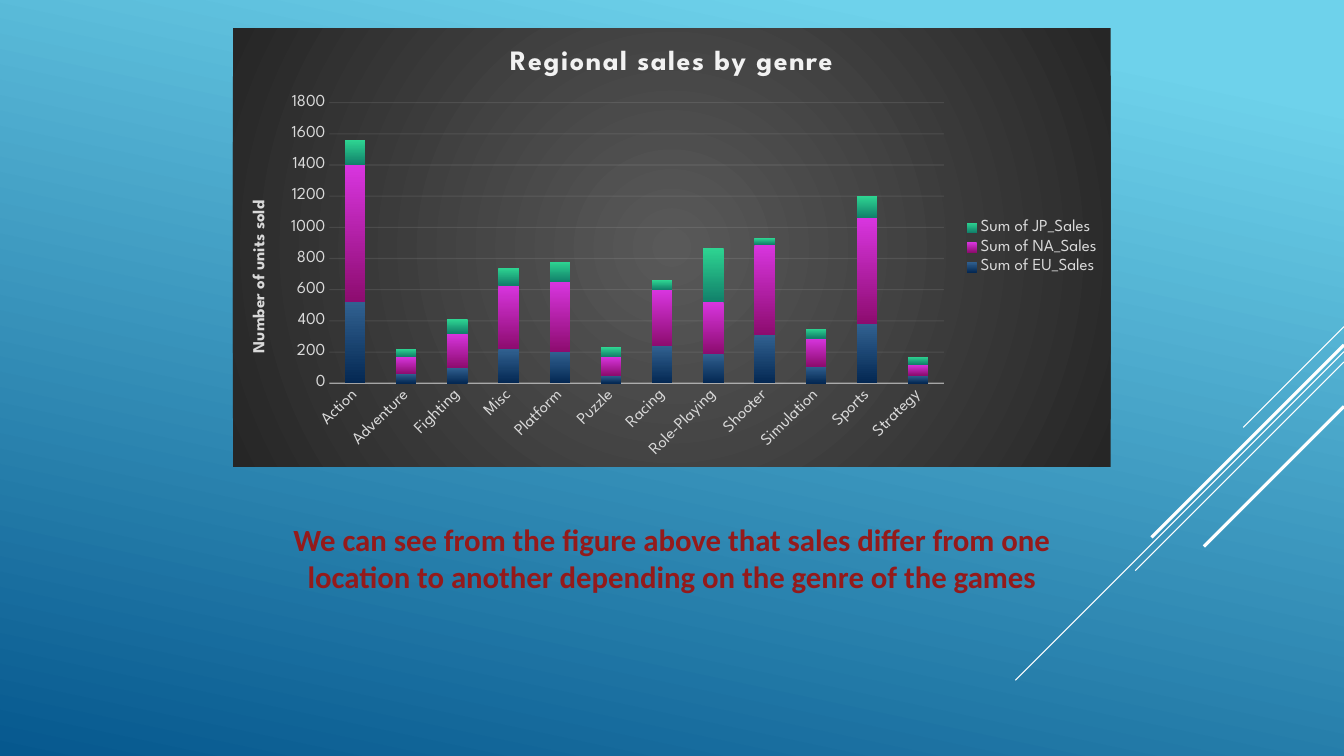
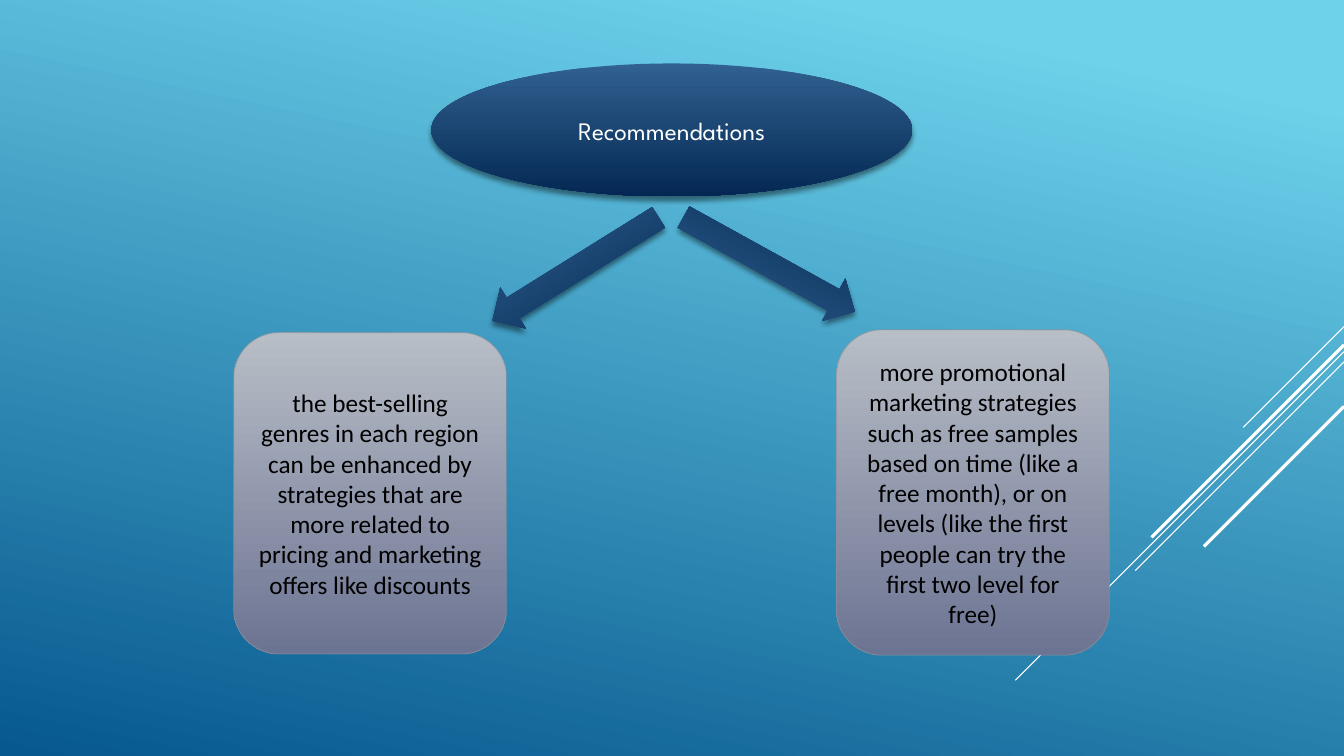
from dataclasses import dataclass

from lxml import etree
from pptx import Presentation
from pptx.chart.data import CategoryChartData
from pptx.dml.color import RGBColor
from pptx.enum.chart import XL_CHART_TYPE, XL_LEGEND_POSITION, XL_TICK_MARK
from pptx.enum.shapes import MSO_CONNECTOR, MSO_SHAPE
from pptx.enum.text import MSO_ANCHOR, MSO_AUTO_SIZE, PP_ALIGN
from pptx.oxml import parse_xml
from pptx.oxml.ns import nsdecls, qn
from pptx.util import Cm, Pt

STACKED = XL_CHART_TYPE.COLUMN_STACKED
LEGEND_RIGHT = XL_LEGEND_POSITION.RIGHT
NO_TICK = XL_TICK_MARK.NONE
STRAIGHT = MSO_CONNECTOR.STRAIGHT
ELLIPSE = MSO_SHAPE.OVAL
ARROW = MSO_SHAPE.LEFT_ARROW
ROUNDED = MSO_SHAPE.ROUNDED_RECTANGLE
MIDDLE = MSO_ANCHOR.MIDDLE
CENTER = PP_ALIGN.CENTER
FIT_SHAPE = MSO_AUTO_SIZE.SHAPE_TO_FIT_TEXT
BLANK_LAYOUT = 6


@dataclass(frozen=True)
class Theme:
    width: float = 33.87
    height: float = 19.05
    heading_face: str = "League Spartan"
    body_face: str = "Calibri"
    chart_size: int = 10
    label_size: int = 12
    body_size: int = 18
    chart_title_size: int = 20
    statement_size: int = 22
    white: str = "FFFFFF"
    black: str = "000000"
    red: str = "941A1B"
    pale: str = "F2F2F2"
    label: str = "D9D9D9"
    card_edge: str = "89919C"
    sky: tuple = ("6ED2EB", "06588E")
    navy: tuple = ("316190", "042853")
    magenta: tuple = ("D835DF", "8D0C6F")
    green: tuple = ("2ED592", "11806A")
    steel: tuple = ("B8BEC6", "6C7493")
    charcoal: tuple = ("595959", "262626")


THEME = Theme()

# Diagonals run down-left from the right edge: top, reach, weight
DIAGONALS = [
    (8.23, 2.54, 0.75),
    (8.86, 8.28, 0.75),
    (9.12, 5.26, 0.75),
    (8.69, 4.85, 2.25),
    (10.24, 3.53, 2.25),
]

GENRES = ["Action", "Adventure", "Fighting", "Misc", "Platform", "Puzzle",
          "Racing", "Role-Playing", "Shooter", "Simulation", "Sports", "Strategy"]
REGIONS = [
    ("Sum of EU_Sales", THEME.navy,
     [520, 60, 100, 220, 200, 50, 240, 190, 310, 110, 380, 50]),
    ("Sum of NA_Sales", THEME.magenta,
     [880, 110, 220, 410, 450, 120, 360, 330, 580, 180, 680, 70]),
    ("Sum of JP_Sales", THEME.green,
     [160, 50, 90, 110, 130, 60, 60, 350, 40, 60, 140, 50]),
]


def style_font(font, face, size, color, bold=False):
    font.name = face
    font.size = Pt(size)
    font.bold = bold
    font.color.rgb = RGBColor.from_string(color)


def write(frame, text, face=THEME.body_face, size=THEME.body_size,
          color=THEME.black, bold=False):
    """Put one centred, formatted paragraph in a text frame."""
    para = frame.paragraphs[0]
    para.alignment = CENTER
    span = para.add_run()
    span.text = text
    style_font(span.font, face, size, color, bold)


def fill_gradient(fill, colors, angle=90, start=0):
    """Fill along a clockwise angle, from the start position (0 to 1)."""
    fill.gradient()
    fill.gradient_angle = 360 - angle
    for stop, color, position in zip(fill.gradient_stops, colors, (start, 1)):
        stop.color.rgb = RGBColor.from_string(color)
        stop.position = position


def draw_line(line, color, weight):
    line.color.rgb = RGBColor.from_string(color)
    line.width = Pt(weight)


def set_opacity(element, query, percent):
    for color in element.xpath(query):
        etree.SubElement(color, qn("a:alpha"), val=str(percent * 1000))


def set_radial_background(chart, colors):
    """Give the chart area a circular gradient, running outwards."""
    center, edge = colors
    area = parse_xml(
        f'<c:spPr {nsdecls("c", "a")}><a:gradFill><a:gsLst>'
        f'<a:gs pos="0"><a:srgbClr val="{center}"/></a:gs>'
        f'<a:gs pos="100000"><a:srgbClr val="{edge}"/></a:gs></a:gsLst>'
        '<a:path path="circle"><a:fillToRect l="50000" t="50000" r="50000" b="50000"/>'
        '</a:path></a:gradFill><a:ln><a:noFill/></a:ln></c:spPr>')
    chart.element.find(qn("c:chart")).addnext(area)


def place_plot(chart, **fractions):
    """Fix the inner plot area as fractions of the chart: x, y, w, h."""
    plot_area = chart.element.xpath("c:chart/c:plotArea")[0]
    for old in plot_area.findall(qn("c:layout")):
        plot_area.remove(old)
    layout = etree.Element(qn("c:layout"))
    manual = etree.SubElement(layout, qn("c:manualLayout"))
    settings = {"layoutTarget": "inner", "xMode": "edge", "yMode": "edge", **fractions}
    for name, value in settings.items():
        etree.SubElement(manual, qn(f"c:{name}"), val=str(value))
    plot_area.insert(0, layout)


class Deck:
    def __init__(self, theme):
        self.theme = theme
        self.file = Presentation()
        self.file.slide_width = Cm(theme.width)
        self.file.slide_height = Cm(theme.height)
        fill_gradient(self.file.slide_master.background.fill, theme.sky, 102, 0.1)
        self.page = None

    def add_page(self):
        layout = self.file.slide_layouts[BLANK_LAYOUT]
        self.page = self.file.slides.add_slide(layout)
        for top, reach, weight in DIAGONALS:
            self.add_diagonal(top, reach, weight)

    def add_diagonal(self, top, reach, weight):
        right = self.theme.width
        line = self.page.shapes.add_connector(
            STRAIGHT, Cm(right), Cm(top), Cm(right - reach), Cm(top + reach))
        draw_line(line.line, self.theme.white, weight)
        etree.SubElement(line.element.spPr, qn("a:effectLst"))

    def add_statement(self, text, left, top, width, height):
        box = self.page.shapes.add_textbox(Cm(left), Cm(top), Cm(width), Cm(height))
        box.text_frame.word_wrap = True
        box.text_frame.auto_size = FIT_SHAPE
        write(box.text_frame, text, size=self.theme.statement_size,
              color=self.theme.red, bold=True)

    def add_shape(self, kind, colors, left, top, width, height):
        shape = self.page.shapes.add_shape(
            kind, Cm(left), Cm(top), Cm(width), Cm(height))
        fill_gradient(shape.fill, colors)
        shape.line.fill.background()
        shape.shadow.inherit = False
        shape.text_frame.word_wrap = True
        shape.text_frame.vertical_anchor = MIDDLE
        return shape

    def add_raised_shape(self, kind, *place):
        """Add a navy shape with a soft shadow below it."""
        shape = self.add_shape(kind, self.theme.navy, *place)
        effects = shape.element.spPr.find(qn("a:effectLst"))
        shadow = etree.SubElement(
            effects, qn("a:outerShdw"), blurRad=str(Pt(4)), dist=str(Pt(3)),
            dir="5400000", algn="ctr", rotWithShape="0")
        etree.SubElement(shadow, qn("a:srgbClr"), val=self.theme.black)
        set_opacity(shape.element, "p:spPr/a:effectLst//a:srgbClr", 46)
        return shape

    def add_heading(self, text, *place):
        shape = self.add_raised_shape(ELLIPSE, *place)
        write(shape.text_frame, text, self.theme.heading_face, color=self.theme.white)

    def add_arrow(self, rotation, *place):
        self.add_raised_shape(ARROW, *place).rotation = rotation

    def add_card(self, text, *place):
        card = self.add_shape(ROUNDED, self.theme.steel, *place)
        draw_line(card.line, self.theme.card_edge, 0.75)
        set_opacity(card.element, "p:spPr/a:ln//a:srgbClr", 60)
        write(card.text_frame, text)

    def add_stacked_chart(self, title, axis_title, categories, groups,
                          left, top, width, height):
        theme = self.theme
        face = theme.heading_face
        data = CategoryChartData()
        data.categories = categories
        for name, _, values in groups:
            data.add_series(name, values)
        chart = self.page.shapes.add_chart(
            STACKED, Cm(left), Cm(top), Cm(width), Cm(height), data).chart
        style_font(chart.font, face, theme.chart_size, theme.white)
        set_radial_background(chart, theme.charcoal)
        place_plot(chart, x=0.11, y=0.17, w=0.7, h=0.64)

        plot = chart.plots[0]
        plot.gap_width = 150
        plot.overlap = 100
        plot.vary_by_categories = False
        for series, (_, colors, _) in zip(plot.series, groups):
            fill_gradient(series.format.fill, colors)

        chart.has_title = True
        write(chart.chart_title.text_frame, title, face,
              theme.chart_title_size, theme.pale, True)
        chart.chart_title.include_in_layout = False
        for span in chart.element.xpath("c:chart/c:title//a:r/a:rPr"):
            span.set("spc", "100")

        chart.has_legend = True
        chart.legend.position = LEGEND_RIGHT
        chart.legend.include_in_layout = False
        style_font(chart.legend.font, face, theme.label_size, theme.label)
        self.format_axes(chart, axis_title)

    def format_axes(self, chart, value_title):
        theme = self.theme
        category, value = chart.category_axis, chart.value_axis
        for axis in (category, value):
            axis.major_tick_mark = axis.minor_tick_mark = NO_TICK
            style_font(axis.tick_labels.font, theme.heading_face,
                       theme.label_size, theme.label)
        draw_line(category.format.line, theme.pale, 1)
        value.format.line.fill.background()
        value.minimum_scale, value.maximum_scale, value.major_unit = 0, 1800, 200
        draw_line(value.major_gridlines.format.line, theme.pale, 0.75)
        write(value.axis_title.text_frame, value_title, theme.heading_face,
              theme.label_size, theme.label, True)
        set_opacity(chart.element, "//c:catAx/c:spPr//a:srgbClr", 54)
        set_opacity(chart.element, "//c:majorGridlines//a:srgbClr", 10)
        for query, degrees in (("//c:catAx/c:txPr/a:bodyPr", -45),
                               ("//c:valAx/c:title//a:bodyPr", -90)):
            for body in chart.element.xpath(query):
                body.set("rot", str(degrees * 60000))
                body.set("vert", "horz")


def main():
    deck = Deck(THEME)

    deck.add_page()
    deck.add_stacked_chart("Regional sales by genre", "Number of units sold",
                           GENRES, REGIONS, 5.87, 0.71, 22.12, 11.05)
    deck.add_statement(
        "We can see from the figure above that sales differ from one location "
        "to another depending on the genre of the games", 5.87, 13, 22.12, 2.13)

    deck.add_page()
    deck.add_heading("Recommendations", 10.87, 1.6, 12.12, 3.35)
    deck.add_arrow(328.1, 12.04, 6.17, 4.93, 1.22)
    deck.add_arrow(208.9, 16.92, 6.05, 4.93, 1.22)
    deck.add_card(
        "the best-selling genres in each region can be enhanced by strategies that "
        "are more related to pricing and marketing offers like discounts",
        5.89, 8.38, 6.88, 8.1)
    deck.add_card(
        "more promotional marketing strategies such as free samples based on time "
        "(like a free month), or on levels (like the first people can try the first "
        "two level for free)", 21.08, 8.31, 6.88, 8.2)

    deck.file.save("out.pptx")


if __name__ == "__main__":
    main()
